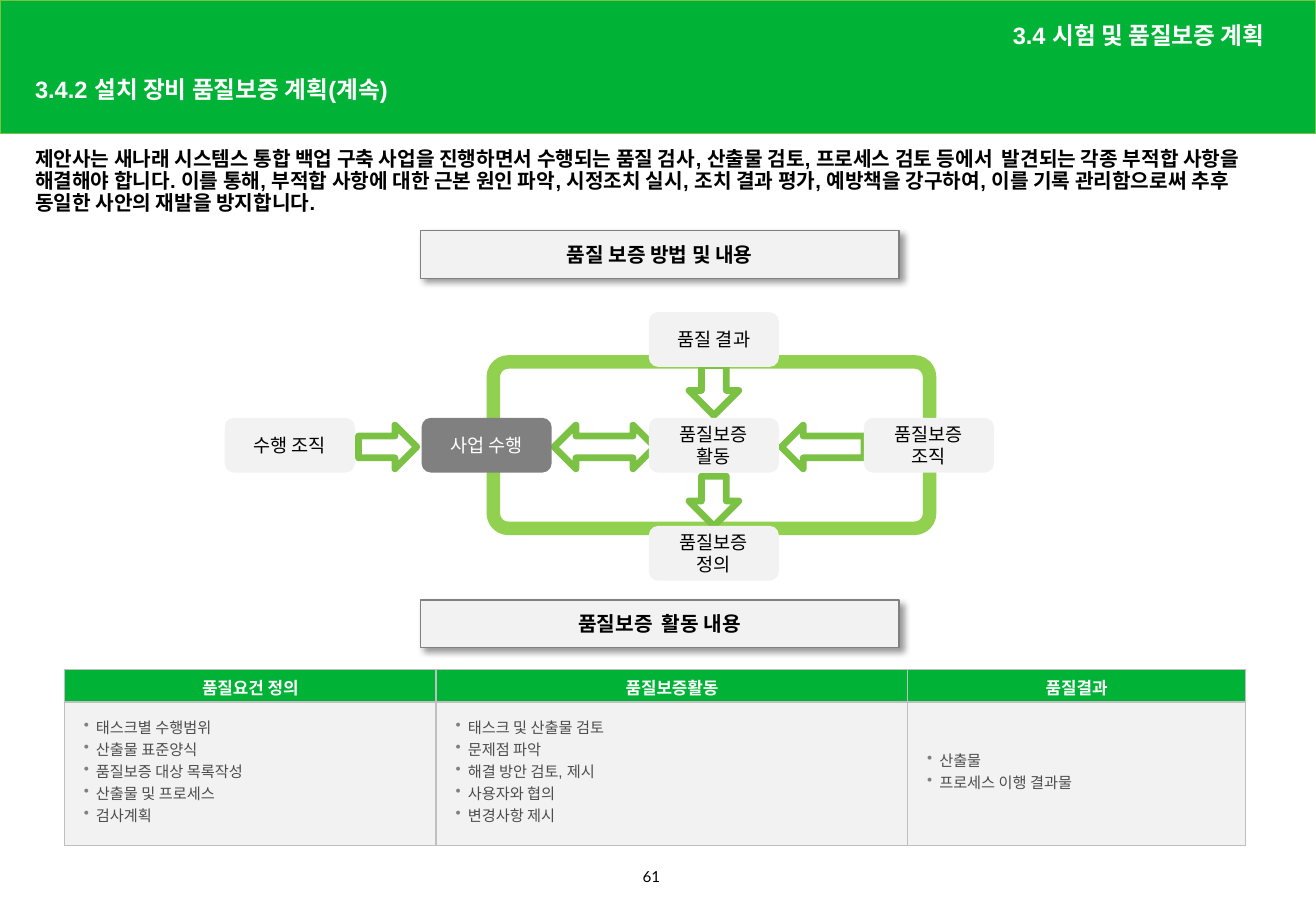
from dataclasses import dataclass

import pptx
import pptx.dml.color
import pptx.enum.shapes
import pptx.enum.text
import pptx.oxml
import pptx.oxml.ns
import pptx.util
from pptx.util import Inches

SHAPE = pptx.enum.shapes.MSO_SHAPE
ALIGN = pptx.enum.text.PP_ALIGN
ANCHOR = pptx.enum.text.MSO_ANCHOR


@dataclass(frozen=True)
class Theme:
    green: str = "00B336"
    leaf: str = "7BC144"
    lime: str = "92D050"
    pale: str = "F2F2F2"
    grey: str = "808080"
    border: str = "BFBFBF"
    body: str = "4D4D4D"
    black: str = "000000"
    white: str = "FFFFFF"
    title_size: int = 14
    lead_size: int = 12
    node_size: int = 11
    head_size: int = 10
    small_size: int = 9


THEME = Theme()


@dataclass(frozen=True)
class Area:
    left: float
    top: float
    width: float
    height: float

    def lengths(self) -> list:
        return [Inches(v) for v in (self.left, self.top, self.width, self.height)]


@dataclass(frozen=True)
class Style:
    size: int
    color: str = THEME.black
    bold: bool = False
    font: str = "Arial"


@dataclass(frozen=True)
class Label:
    text: str
    area: Area
    style: Style
    align: ALIGN = ALIGN.LEFT
    anchor: ANCHOR = ANCHOR.TOP
    line_spacing: float = 1.0


@dataclass(frozen=True)
class Node:
    text: str
    left: float
    top: float
    fill: str = THEME.pale
    color: str = THEME.black


@dataclass(frozen=True)
class Arrow:
    kind: SHAPE
    area: Area


@dataclass(frozen=True)
class Column:
    heading: str
    width: float
    items: tuple[str, ...]


TITLE = Style(THEME.title_size, THEME.white, True)
LEAD = Style(THEME.lead_size, bold=True)
TABLE_HEAD = Style(THEME.head_size, THEME.white, True, "Calibri")
TABLE_BODY = Style(THEME.small_size, THEME.body)

LABELS = [
    Label("3.4.2 설치 장비 품질보증 계획(계속)", Area(0.19, 0.59, 6.4, 0.31),
          TITLE, anchor=ANCHOR.MIDDLE, line_spacing=0.9),
    Label("3.4 시험 및 품질보증 계획 ", Area(5.75, 0.11, 4.8, 0.39),
          TITLE, ALIGN.RIGHT, ANCHOR.MIDDLE, 0.9),
    Label("제안사는 새나래 시스템스 통합 백업 구축 사업을 진행하면서 수행되는 품질 검사, 산출물 검토, "
          "프로세스 검토 등에서  발견되는 각종 부적합 사항을 해결해야 합니다. 이를 통해, 부적합 사항에 대한 "
          "근본 원인 파악, 시정조치 실시, 조치 결과 평가, 예방책을 강구하여, 이를 기록 관리함으로써 "
          "추후 동일한 사안의 재발을 방지합니다.",
          Area(0.19, 1.18, 10.35, 1.18), LEAD, line_spacing=0.9),
    Label("61", Area(5.19, 7.09, 0.45, 0.28), Style(THEME.small_size, font="Lato")),
]
BANNERS = {"품질 보증 방법 및 내용": 1.9, "품질보증  활동 내용": 4.94}

MIDDLE_ROW, CENTRE = 3.44, 5.34
NODES = [
    Node("수행 조직", 1.85, MIDDLE_ROW),
    Node("사업 수행", 3.47, MIDDLE_ROW, THEME.grey, THEME.white),
    Node("품질 결과", CENTRE, 2.57),
    Node("품질보증 활동", CENTRE, MIDDLE_ROW),
    Node("품질보증 정의", CENTRE, 4.33),
    Node("품질보증 조직", 7.11, MIDDLE_ROW),
]
ARROWS = [
    Arrow(SHAPE.RIGHT_ARROW, Area(2.95, 3.5, 0.48, 0.36)),
    Arrow(SHAPE.LEFT_RIGHT_ARROW, Area(4.56, 3.5, 0.83, 0.36)),
    Arrow(SHAPE.LEFT_ARROW, Area(6.43, 3.5, 0.68, 0.36)),
    Arrow(SHAPE.DOWN_ARROW, Area(5.67, 3.92, 0.41, 0.41)),
    Arrow(SHAPE.DOWN_ARROW, Area(5.67, 3.01, 0.41, 0.41)),
]
COLUMNS = [
    Column("품질요건 정의", 3.06, ("태스크별 수행범위", "산출물 표준양식", "품질보증 대상 목록작성",
                             "산출물 및 프로세스", "검사계획")),
    Column("품질보증활동", 3.88, ("태스크 및 산출물 검토", "문제점 파악", "해결 방안 검토, 제시",
                            "사용자와 협의", "변경사항 제시")),
    Column("품질결과", 2.78, ("산출물", "프로세스 이행 결과물")),
]


def rgb(color: str) -> pptx.dml.color.RGBColor:
    return pptx.dml.color.RGBColor.from_string(color)


def element(xml: str):
    namespace = pptx.oxml.ns.nsdecls("a")
    return pptx.oxml.parse_xml(xml.replace(" ", f" {namespace} ", 1))


def write(para, text: str, style: Style, align: ALIGN = ALIGN.LEFT) -> None:
    para.alignment = align
    span = para.add_run()
    span.text = text
    span.font.size = pptx.util.Pt(style.size)
    span.font.name = style.font
    span.font.bold = style.bold
    span.font.color.rgb = rgb(style.color)


def add_label(page, label: Label) -> None:
    box = page.shapes.add_textbox(*label.area.lengths())
    box.text_frame.word_wrap = True
    box.text_frame.vertical_anchor = label.anchor
    para = box.text_frame.paragraphs[0]
    para.line_spacing = label.line_spacing
    write(para, label.text, label.style, label.align)


def add_box(page, kind: SHAPE, area: Area, fill: str | None = None,
            line: str | None = None, weight: float = 1):
    box = page.shapes.add_shape(kind, *area.lengths())
    box.shadow.inherit = False
    if fill:
        box.fill.solid()
        box.fill.fore_color.rgb = rgb(fill)
    else:
        box.fill.background()
    if line:
        box.line.color.rgb = rgb(line)
        box.line.width = pptx.util.Pt(weight)
    else:
        box.line.fill.background()
    return box


def caption(box, text: str, style: Style) -> None:
    box.text_frame.word_wrap = True
    box.text_frame.vertical_anchor = ANCHOR.MIDDLE
    para = box.text_frame.paragraphs[0]
    para.space_after = pptx.util.Pt(2)
    write(para, text, style, ALIGN.CENTER)


def add_banner(page, text: str, top: float) -> None:
    box = add_box(page, SHAPE.RECTANGLE, Area(3.46, top, 3.94, 0.39),
                  THEME.pale, THEME.grey, 0.75)
    effects = box._element.spPr.find(pptx.oxml.ns.qn("a:effectLst"))
    effects.append(element(
        '<a:outerShdw blurRad="50800" dist="38100" dir="2700000" algn="tl" rotWithShape="0">'
        f'<a:srgbClr val="{THEME.black}"><a:alpha val="40000"/></a:srgbClr></a:outerShdw>'))
    caption(box, text, LEAD)


def format_cell(cell, fill: str, side: float) -> None:
    for edge in ("lnL", "lnR", "lnT", "lnB"):
        cell._tc.get_or_add_tcPr().append(element(
            f'<a:{edge} w="12700"><a:solidFill><a:srgbClr val="{THEME.border}"/>'
            f'</a:solidFill></a:{edge}>'))
    cell.fill.solid()
    cell.fill.fore_color.rgb = rgb(fill)
    cell.vertical_anchor = ANCHOR.MIDDLE
    cell.margin_left = cell.margin_right = Inches(side)
    cell.margin_top = cell.margin_bottom = Inches(0.05)


def write_bullets(frame, items: tuple[str, ...]) -> None:
    for index, item in enumerate(items):
        para = frame.add_paragraph() if index else frame.paragraphs[0]
        properties = para._p.get_or_add_pPr()
        properties.set("marL", str(Inches(0.1)))
        properties.set("indent", str(-Inches(0.1)))
        properties.append(element(f'<a:buClr ><a:srgbClr val="{THEME.grey}"/></a:buClr>'))
        properties.append(element('<a:buChar char="•"/>'))
        properties.append(element(
            f'<a:tabLst ><a:tab pos="{Inches(1.57)}" algn="l"/></a:tabLst>'))
        para.line_spacing = pptx.util.Pt(10)
        if index:
            para.space_before = pptx.util.Pt(3)
        write(para, item, TABLE_BODY)


def add_activity_table(page) -> None:
    area = Area(0.53, 5.51, sum(column.width for column in COLUMNS), 1.45)
    table = page.shapes.add_table(2, len(COLUMNS), *area.lengths()).table
    for row, height in zip(table.rows, (0.27, 1.18)):
        row.height = Inches(height)
    for index, column in enumerate(COLUMNS):
        table.columns[index].width = Inches(column.width)
        head, body = table.cell(0, index), table.cell(1, index)
        format_cell(head, THEME.green, 0.1)
        write(head.text_frame.paragraphs[0], column.heading, TABLE_HEAD, ALIGN.CENTER)
        format_cell(body, THEME.pale, 0.16)
        write_bullets(body.text_frame, column.items)


def main() -> None:
    deck = pptx.Presentation()
    deck.slide_width, deck.slide_height = Inches(10.83), Inches(7.5)
    page = deck.slides.add_slide(deck.slide_layouts[6])

    # Header band and free text
    add_box(page, SHAPE.RECTANGLE, Area(0, 0, 10.83, 1.1), THEME.green, THEME.leaf)
    for label in LABELS:
        add_label(page, label)

    # Section banners
    for text, top in BANNERS.items():
        add_banner(page, text, top)

    # Quality cycle: loop, arrows, then nodes on top
    loop = add_box(page, SHAPE.ROUNDED_RECTANGLE, Area(4.06, 2.98, 3.59, 1.37),
                   line=THEME.lime, weight=8)
    loop.adjustments[0] = 0.09
    for arrow in ARROWS:
        add_box(page, arrow.kind, arrow.area, THEME.white, THEME.leaf, 4)
    for node in NODES:
        box = add_box(page, SHAPE.ROUNDED_RECTANGLE,
                      Area(node.left, node.top, 1.07, 0.45), node.fill)
        caption(box, node.text, Style(THEME.node_size, node.color))

    # Activity table
    add_activity_table(page)
    deck.save("out.pptx")


if __name__ == "__main__":
    main()
